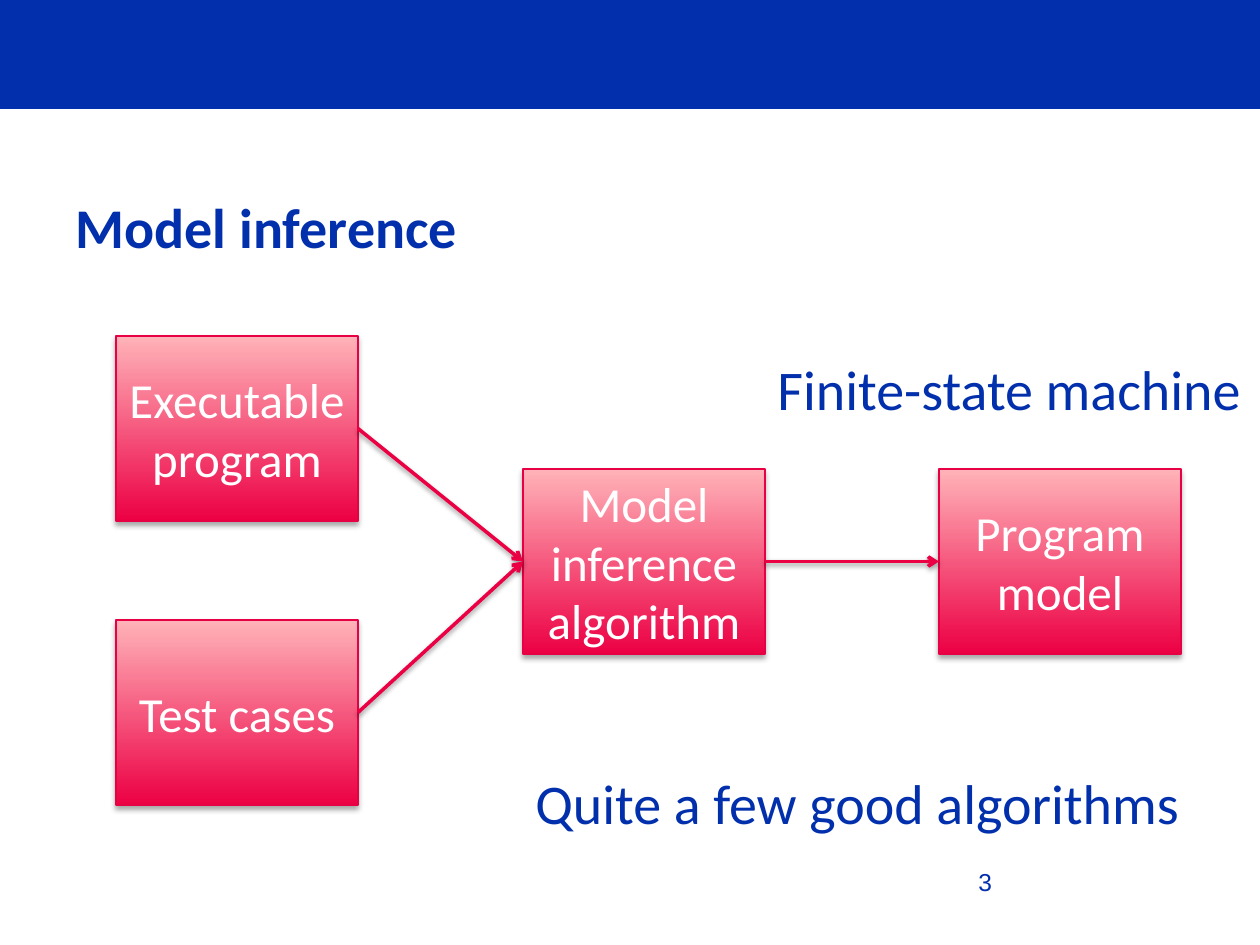
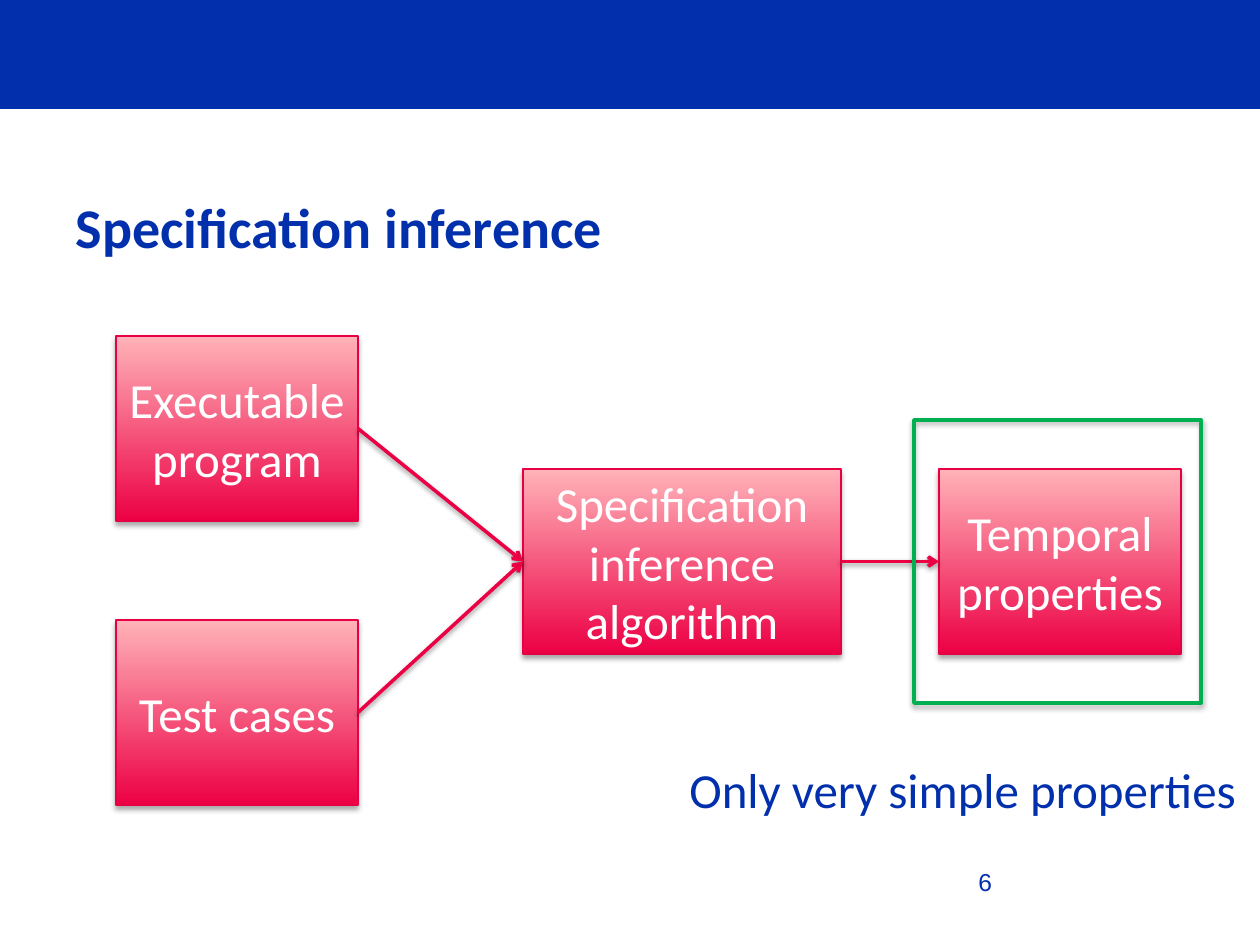
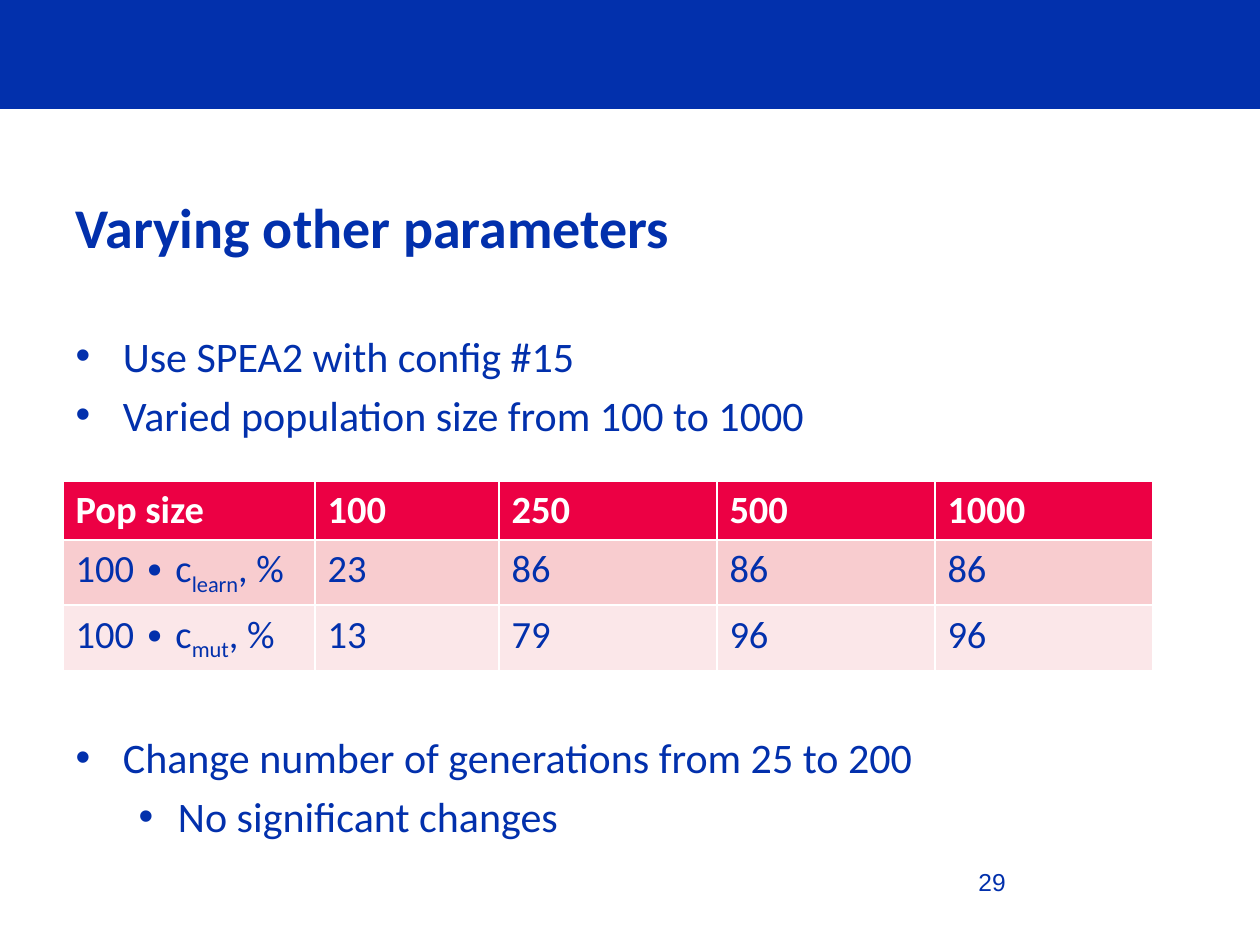
from dataclasses import dataclass

from pptx import Presentation
from pptx import util as u
from pptx.dml.color import RGBColor
from pptx.enum import shapes, text
from pptx.oxml import ns, parse_xml

EMU_PER_PX = 914400 / 126
RIGHT_SITE, LEFT_SITE = 3, 1


@dataclass(frozen=True)
class Theme:
    blue: str = "0230AC"
    red: str = "EC0044"
    pink: str = "FFB3B9"
    outline: str = "E70043"
    green: str = "00B050"
    white: str = "FFFFFF"
    row_fills: tuple = ("F8CCCF", "FBE7E9")
    font: str = "Calibri"
    number_font: str = "Arial"
    large: int = 32
    medium: int = 28
    body: int = 24
    table: int = 22
    small: int = 14


THEME = Theme()


def px(*lengths):
    return [u.Emu(round(length * EMU_PER_PX)) for length in lengths]


def rgb(code):
    return RGBColor.from_string(code)


def style(para, size, color=THEME.blue, font=THEME.font, bold=False):
    para.font.size = u.Pt(size)
    para.font.name = font
    para.font.bold = bold
    para.font.color.rgb = rgb(color)


def place(shape, left, top, width, height):
    shape.left, shape.top, shape.width, shape.height = px(left, top, width, height)


def cast_shadow(shape, distance, opacity):
    """Replace the theme's shadow by a soft one straight below the shape."""
    properties = shape.element.spPr
    for effects in properties.findall(ns.qn("a:effectLst")):
        properties.remove(effects)
    properties.append(parse_xml(
        f'<a:effectLst {ns.nsdecls("a")}>'
        f'<a:outerShdw blurRad="{u.Pt(3.1)}" dist="{u.Pt(distance)}" dir="5400000" rotWithShape="0">'
        f'<a:srgbClr val="000000"><a:alpha val="{opacity * 1000}"/></a:srgbClr>'
        '</a:outerShdw></a:effectLst>'))


def add_rectangle(page, left, top, width, height):
    shape = page.shapes.add_shape(
        shapes.MSO_SHAPE.RECTANGLE, *px(left, top, width, height))
    shape.shadow.inherit = False
    return shape


def add_master_band(deck, page):
    """Draw the top band once and move it to the slide master."""
    band = add_rectangle(page, 0, 0, 1260, 109)
    band.fill.solid()
    band.fill.fore_color.rgb = rgb(THEME.blue)
    band.line.fill.background()
    band.element.nvSpPr.cNvPr.set("id", "20")
    deck.slide_master.shapes.element.insert(2, band.element)


def add_label(page, words, left, top, width, height, size, font=THEME.font):
    box = page.shapes.add_textbox(*px(left, top, width, height))
    box.text_frame.word_wrap = True
    para = box.text_frame.paragraphs[0]
    para.text = words
    style(para, size, font=font)


def add_page(deck, layout, title, number):
    page = deck.slides.add_slide(deck.slide_layouts.get_by_name(layout))
    heading = page.shapes.title
    place(heading, 63, 170, 1134, 113)
    heading.text_frame.vertical_anchor = text.MSO_ANCHOR.MIDDLE
    para = heading.text_frame.paragraphs[0]
    para.text = title
    para.alignment = text.PP_ALIGN.LEFT
    style(para, THEME.large, bold=True)
    add_label(page, str(number), 966, 861, 294, 50, THEME.small, THEME.number_font)
    return page


def add_node(page, words, left, top, width=242):
    node = add_rectangle(page, left, top, width, 185)
    node.fill.gradient()
    node.fill.gradient_angle = 90
    for stop, color in zip(node.fill.gradient_stops, (THEME.red, THEME.pink)):
        stop.color.rgb = rgb(color)
    node.line.color.rgb = rgb(THEME.outline)
    node.line.width = u.Pt(0.75)
    cast_shadow(node, 1.8, 35)
    frame = node.text_frame
    frame.word_wrap = True
    frame.vertical_anchor = text.MSO_ANCHOR.MIDDLE
    para = frame.paragraphs[0]
    para.text = words
    para.alignment = text.PP_ALIGN.CENTER
    style(para, THEME.medium, THEME.white)
    return node


def add_arrow(page, source, target):
    arrow = page.shapes.add_connector(shapes.MSO_CONNECTOR.STRAIGHT, 0, 0, 0, 0)
    arrow.begin_connect(source, RIGHT_SITE)
    arrow.end_connect(target, LEFT_SITE)
    arrow.line.color.rgb = rgb(THEME.red)
    arrow.line.width = u.Pt(2)
    arrow.line._get_or_add_ln().append(
        parse_xml(f'<a:tailEnd {ns.nsdecls("a")} type="arrow"/>'))
    cast_shadow(arrow, 1.6, 38)


def add_inference_flow(page, algorithm, result, algorithm_width=242):
    """Two inputs lead to an algorithm, which leads to a result."""
    program = add_node(page, "Executable program", 116, 336)
    tests = add_node(page, "Test cases", 116, 620)
    outcome = add_node(page, result, 939, 469)
    step = add_node(page, algorithm, 523, 469, algorithm_width)
    for source, target in ((program, step), (tests, step), (step, outcome)):
        add_arrow(page, source, target)


def add_highlight(page, left, top, width, height):
    frame = add_rectangle(page, left, top, width, height)
    frame.fill.background()
    frame.line.color.rgb = rgb(THEME.green)
    frame.line.width = u.Pt(2)
    cast_shadow(frame, 1.8, 35)


def fill_list(page, items):
    """Fill the body with (words, level, points before or None) items."""
    body = page.placeholders[1]
    place(body, 63, 324, 1134, 520)
    frame = body.text_frame
    frame.auto_size = text.MSO_AUTO_SIZE.NONE
    for index, (words, level, gap) in enumerate(items):
        para = frame.add_paragraph() if index else frame.paragraphs[0]
        para.text = words
        para.level = level
        if gap:
            para.space_before = u.Pt(gap)
        para._p.get_or_add_pPr().append(
            parse_xml(f'<a:buChar {ns.nsdecls("a")} char="•"/>'))
        style(para, THEME.body)


def write_cell(cell, parts, fill, color, bold):
    """Write the parts of a cell; the second of them is a subscript."""
    cell.fill.solid()
    cell.fill.fore_color.rgb = rgb(fill)
    para = cell.text_frame.paragraphs[0]
    for index, words in enumerate(parts):
        span = para.add_run()
        span.text = words
        if index == 1:
            span._r.get_or_add_rPr().set("baseline", "-25000")
    style(para, THEME.table, color, bold=bold)


def add_results_table(page, rows, left, top, widths, row_height):
    table = page.shapes.add_table(
        len(rows), len(widths),
        *px(left, top, sum(widths), row_height * len(rows))).table
    for column, width in zip(table.columns, px(*widths)):
        column.width = width
    for r, row in enumerate(rows):
        header = r == 0
        fill = THEME.red if header else THEME.row_fills[(r - 1) % 2]
        color = THEME.white if header else THEME.blue
        for c, value in enumerate(row):
            parts = value if isinstance(value, tuple) else (str(value),)
            write_cell(table.cell(r, c), parts, fill, color, header)


def main():
    deck = Presentation()
    deck.slide_width, deck.slide_height = px(1260, 945)

    model = add_page(deck, "Title Only", "Model inference", 3)
    add_master_band(deck, model)
    add_inference_flow(model, "Model inference algorithm", "Program model")
    add_label(model, "Finite-state machine", 765, 348, 495, 81, THEME.large)
    add_label(model, "Quite a few good algorithms", 523, 762, 703, 81, THEME.large)

    specification = add_page(deck, "Title Only", "Specification inference", 6)
    add_inference_flow(specification, "Specification inference algorithm",
                       "Temporal properties", algorithm_width=318)
    add_label(specification, "Only very simple properties",
              677, 753, 583, 72, THEME.medium)
    add_highlight(specification, 914, 420, 287, 283)

    parameters = add_page(deck, "Title and Content", "Varying other parameters", 29)
    fill_list(parameters, [
        ("Use SPEA2 with config #15", 0, None),
        ("Varied population size from 100 to 1000", 0, None),
        ("Change number of generations from 25 to 200", 0, 167),
        ("No significant changes", 1, None),
    ])
    add_results_table(parameters, [
        ("Pop size", 100, 250, 500, 1000),
        (("100 ∙ c", "learn", ", %"), 23, 86, 86, 86),
        (("100 ∙ c", "mut", ", %"), 13, 79, 96, 96),
    ], 63, 481, (252, 184, 218, 218, 218), 59)

    deck.save("out.pptx")


if __name__ == "__main__":
    main()
